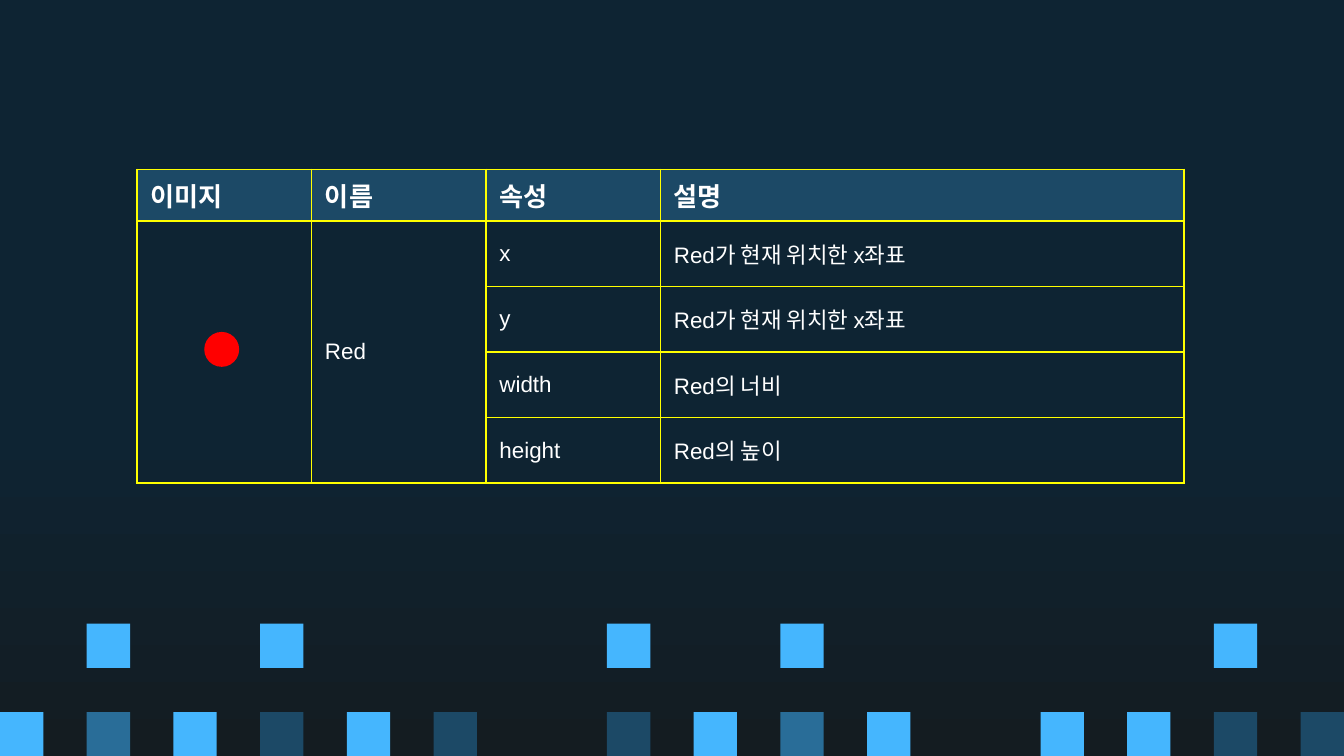
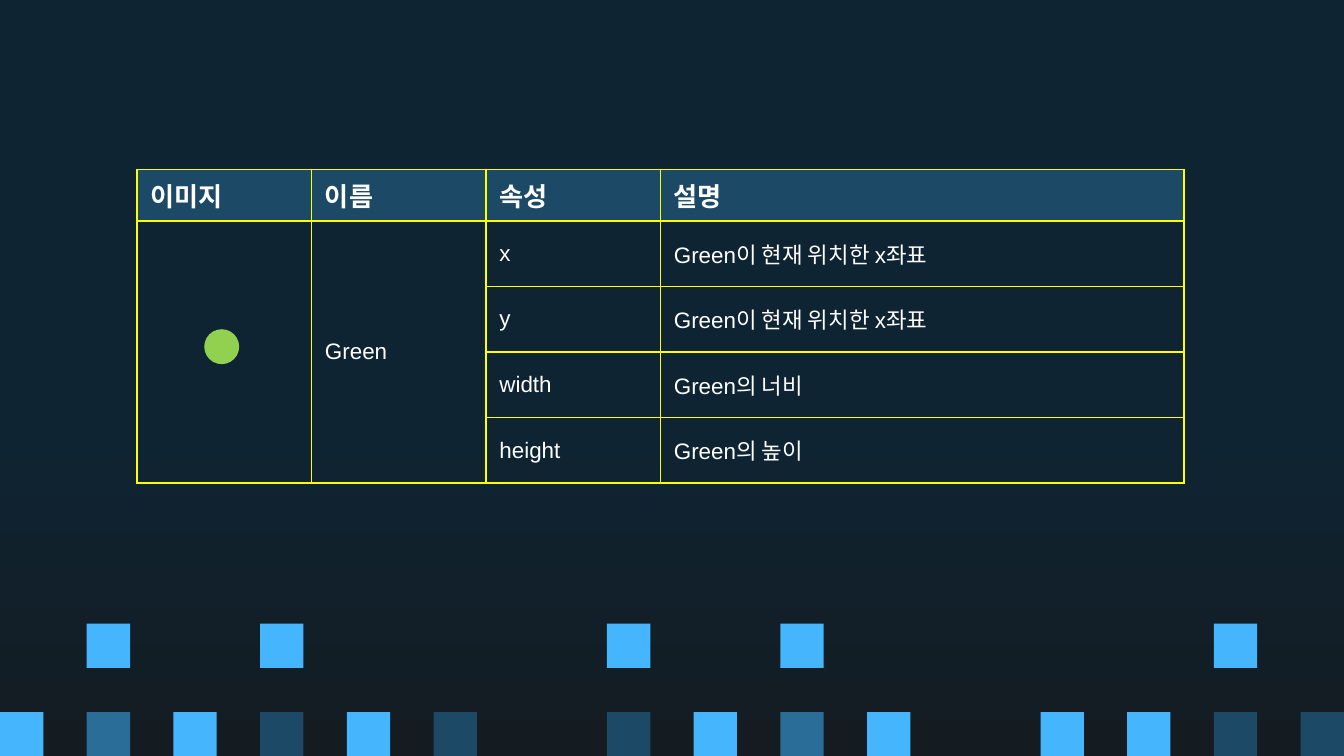
from pptx import Presentation
from pptx.dml.color import RGBColor
from pptx.enum import shapes, text
from pptx.oxml import parse_xml
from pptx.oxml.ns import nsdecls
from pptx.util import Inches, Pt

COLORS = {
    "night": "0E2433",
    "floor": "141C21",
    "bright": "45B6FE",
    "medium": "296D98",
    "dark": "1C4966",
    "border": "FFFF00",
    "text": "FFFFFF",
    "red": "FF0000",
    "green": "92D050",
}
FONT = "Arial"
PAGE_WIDTH = 10
PAGE_HEIGHT = PAGE_WIDTH * 9 / 16

# One letter per grid column, a dot for a gap
SQUARE_ROWS = [".B.B...B.B....B.", "BMBDBD.DBMB.BBDD"]
SQUARE_COLORS = {"B": "bright", "M": "medium", "D": "dark"}
SQUARE_WIDTH, SQUARE_HEIGHT = PAGE_WIDTH / 31, 0.33
SQUARES_TOP, SQUARE_ROW_STEP = 4.64, 0.66

HEADERS = ["이미지", "이름", "속성", "설명"]
TABLE_WIDTH = 7.79
COLUMN_WIDTHS = [TABLE_WIDTH * share / 6 for share in (1, 1, 1, 3)]
HEADER_HEIGHT, BODY_HEIGHT = 0.38, 1.95
ROW_HEIGHTS = [HEADER_HEIGHT] + [BODY_HEIGHT / 4] * 4
TABLE_BOX = (1.02, 1.26, TABLE_WIDTH, HEADER_HEIGHT + BODY_HEIGHT)
DOT_SIZE = 0.26


def rgb(name):
    return RGBColor.from_string(COLORS[name])


def add_plain_shape(page, kind, box, color):
    shape = page.shapes.add_shape(kind, *(Inches(length) for length in box))
    shape.shadow.inherit = False
    shape.fill.solid()
    shape.fill.fore_color.rgb = rgb(color)
    shape.line.fill.background()


def paint_background(page):
    fill = page.background.fill
    fill.gradient()
    fill.gradient_angle = 270
    stops = zip(fill.gradient_stops, [0.56, 1], ["night", "floor"])
    for stop, position, color in stops:
        stop.position = position
        stop.color.rgb = rgb(color)


def add_squares(page, left, top):
    for row, pattern in enumerate(SQUARE_ROWS):
        for column, letter in enumerate(pattern):
            if letter in SQUARE_COLORS:
                box = (left + column * 2 * SQUARE_WIDTH, top + row * SQUARE_ROW_STEP,
                       SQUARE_WIDTH, SQUARE_HEIGHT)
                add_plain_shape(page, shapes.MSO_SHAPE.RECTANGLE, box, SQUARE_COLORS[letter])


def add_borders(cell):
    properties = cell._tc.get_or_add_tcPr()
    for side in ("lnL", "lnR", "lnT", "lnB"):
        properties.append(parse_xml(
            f'<a:{side} {nsdecls("a")} w="{Pt(1)}"><a:solidFill>'
            f'<a:srgbClr val="{COLORS["border"]}"/></a:solidFill></a:{side}>'))


def style_cell(cell, words, is_header):
    add_borders(cell)
    cell.vertical_anchor = text.MSO_ANCHOR.MIDDLE
    if is_header:
        cell.fill.solid()
        cell.fill.fore_color.rgb = rgb("dark")
    else:
        cell.fill.background()
    cell.text_frame.text = words
    for span in cell.text_frame.paragraphs[0].runs:
        span.font.name = FONT
        span.font.size = Pt(14 if is_header else 12)
        span.font.bold = is_header
        span.font.color.rgb = rgb("text")


def add_property_table(page, box, rows):
    frame = page.shapes.add_table(
        len(rows), len(HEADERS), *(Inches(length) for length in box))
    table = frame.table
    table.first_row = table.horz_banding = False
    for column, width in zip(table.columns, COLUMN_WIDTHS):
        column.width = Inches(width)
    for row, height in zip(table.rows, ROW_HEIGHTS):
        row.height = Inches(height)
    for row_index, row in enumerate(rows):
        for column_index, words in enumerate(row):
            style_cell(table.cell(row_index, column_index), words, row_index == 0)
    for column_index in (0, 1):
        table.cell(1, column_index).merge(table.cell(len(rows) - 1, column_index))


def add_object_slide(deck, name, subject, color, dot_top):
    """Describe one object; subject is its name with the subject particle."""
    page = deck.slides.add_slide(deck.slide_layouts[6])
    paint_background(page)
    add_squares(page, 0, SQUARES_TOP)
    rows = [
        HEADERS,
        ["", name, "x", f"{subject} 현재 위치한 x좌표"],
        ["", "", "y", f"{subject} 현재 위치한 x좌표"],
        ["", "", "width", f"{name}의 너비"],
        ["", "", "height", f"{name}의 높이"],
    ]
    add_property_table(page, TABLE_BOX, rows)
    left, top = TABLE_BOX[:2]
    dot_box = (left + 0.5, top + dot_top, DOT_SIZE, DOT_SIZE)
    add_plain_shape(page, shapes.MSO_SHAPE.OVAL, dot_box, color)


def main():
    deck = Presentation()
    deck.slide_width, deck.slide_height = Inches(PAGE_WIDTH), Inches(PAGE_HEIGHT)
    add_object_slide(deck, "Red", "Red가", "red", 1.21)
    add_object_slide(deck, "Green", "Green이", "green", 1.19)
    deck.save("out.pptx")


if __name__ == "__main__":
    main()
